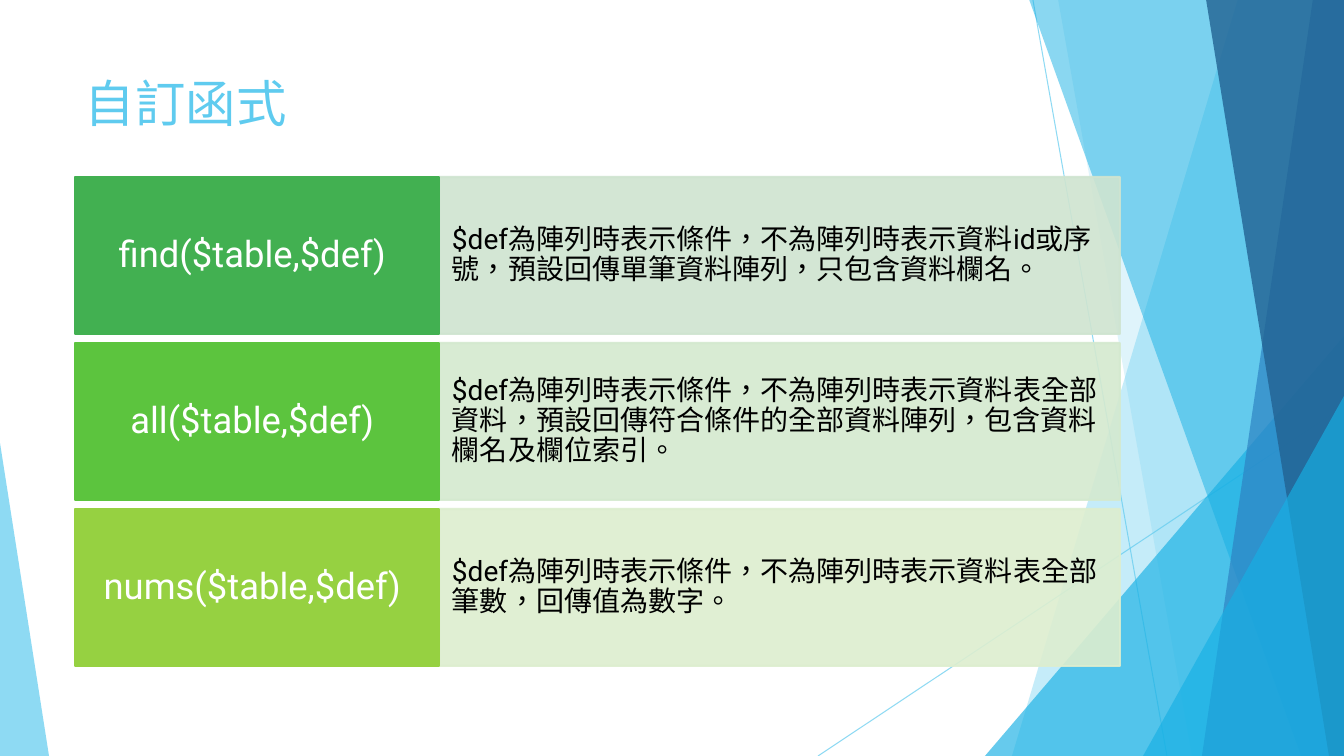
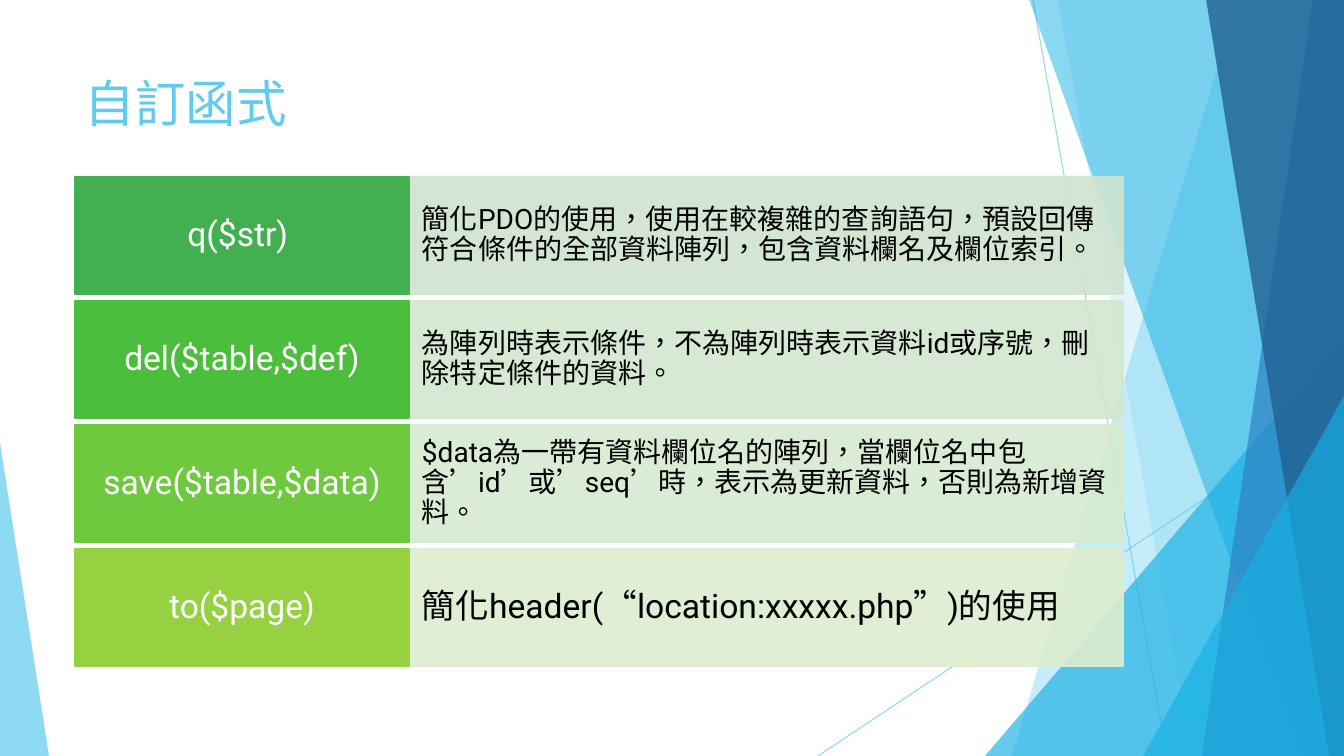
from lxml import etree
from pptx import Presentation
from pptx.dml.color import RGBColor
from pptx.enum.lang import MSO_LANGUAGE_ID
from pptx.enum.shapes import MSO_CONNECTOR, MSO_SHAPE
from pptx.enum.text import MSO_ANCHOR, PP_ALIGN
from pptx.oxml.ns import qn
from pptx.util import Pt

SCALE = 914400 / 100.8
WIDE, HIGH = 1344, 756
LEFT, TOP = 75, 177
FONT = "Roboto"
RECT, TRI = MSO_SHAPE.RECTANGLE, MSO_SHAPE.ISOSCELES_TRIANGLE
LINE = MSO_CONNECTOR.STRAIGHT
UPPER, MIDDLE = MSO_ANCHOR.TOP, MSO_ANCHOR.MIDDLE
START, CENTER = PP_ALIGN.LEFT, PP_ALIGN.CENTER
CHINESE = MSO_LANGUAGE_ID.TRADITIONAL_CHINESE

HUES = {
    "sky": "5FCBEF", "cyan": "17B0E4", "blue": "2E83C3", "navy": "226292",
    "black": "000000", "white": "FFFFFF",
    "green": "42B051", "leaf": "4CBE3E", "grass": "5CC43E",
    "moss": "6FC93F", "lime": "96D141",
    "green_pale": "CFE4D0", "leaf_pale": "D1E7CF", "grass_pale": "D4E9CF",
    "moss_pale": "D6EBCF", "lime_pale": "DDEECF",
}

# Rays: start, end. Facets: kind, place, hue, opacity, back to front.
# A pane gives its left edge at top and bottom; a wedge its box and peak.
RAYS = [((1033, 0), (1167, HIGH)), ((WIDE, 406), (818, HIGH))]
FACETS = [
    ("pane", (1238, 1012), "sky", 36),
    ("pane", (1058, 1192), "sky", 20),
    ("wedge", (985, 336, 359, 420, 1), "cyan", 66),
    ("pane", (1029, 1301), "cyan", 50),
    ("pane", (1313, 1202), "blue", 70),
    ("pane", (1206, 1329), "navy", 80),
    ("wedge", (1143, 396, 201, 360, 1), "cyan", 66),
    ("wedge", (0, 443, 49, 313, 0), "sky", 70),
]

TITLE = "自訂函式"
SLIDES = [
    {
        "widths": (364, 681), "height": 157, "pitch": 166, "size": 26,
        "pads": ((9, 15), (13, 40)),
        "rows": [
            ("green", "find($table,$def) ", 20,
             "$def為陣列時表示條件，不為陣列時表示資料id或序號，"
             "預設回傳單筆資料陣列，只包含資料欄名。"),
            ("grass", "all($table,$def) ", 20,
             "$def為陣列時表示條件，不為陣列時表示資料表全部資料，"
             "預設回傳符合條件的全部資料陣列，包含資料欄名及欄位索引。"),
            ("lime", "nums($table,$def) ", 20,
             "$def為陣列時表示條件，不為陣列時表示資料表全部筆數，"
             "回傳值為數字。"),
        ],
    },
    {
        "widths": (334, 714), "height": 117, "pitch": 124, "size": 24,
        "pads": ((9, 11), (13, 29)),
        "rows": [
            ("green", "q($str) ", 20,
             "簡化PDO的使用，使用在較複雜的查詢語句，"
             "預設回傳符合條件的全部資料陣列，包含資料欄名及欄位索引。"),
            ("leaf", "del($table,$def)", 20,
             "為陣列時表示條件，不為陣列時表示資料id或序號，"
             "刪除特定條件的資料。"),
            ("moss", "save($table,$data)", 20,
             "$data為一帶有資料欄位名的陣列，當欄位名中包含’id’或’seq’時，"
             "表示為更新資料，否則為新增資料。"),
            ("lime", "to($page)", 24,
             "簡化header(“location:xxxxx.php”)的使用"),
        ],
    },
]


def px(*sizes):
    """Turn pixels into a list of EMU lengths."""
    return [round(size * SCALE) for size in sizes]


def apply(target, values):
    """Set each attribute named in a dict."""
    for name, value in values.items():
        setattr(target, name, value)


def paint(fill, hue, alpha=100):
    """Give a fill one colour and an opacity in percent."""
    fill.solid()
    fill.fore_color.rgb = RGBColor.from_string(HUES[hue])
    if alpha < 100:
        tint = fill._xPr.find(qn("a:solidFill"))[0]
        etree.SubElement(tint, qn("a:alpha")).set("val", str(alpha * 1000))


def write(shape, text, size, hue, pads, align=START, anchor=MIDDLE, pace=0.9):
    """Put one formatted paragraph into a shape."""
    frame = shape.text_frame
    side, edge = px(*pads)
    apply(frame, {
        "word_wrap": True, "vertical_anchor": anchor,
        "margin_left": side, "margin_right": side,
        "margin_top": edge, "margin_bottom": edge,
    })
    para = frame.paragraphs[0]
    apply(para, {"alignment": align, "line_spacing": pace})
    run = para.add_run()
    run.text = text
    apply(run.font, {"size": Pt(size), "name": FONT, "language_id": CHINESE})
    run.font.color.rgb = RGBColor.from_string(HUES[hue])


def add_ray(slide, start, end):
    """Draw a thin, see-through line."""
    ray = slide.shapes.add_connector(LINE, *px(*start, *end))
    ray.line.width = Pt(0.75)
    paint(ray.line.fill, "sky", 70)
    etree.SubElement(ray._element.spPr, qn("a:effectLst"))


def add_pane(slide, top, base):
    """Outline a pane that runs to the right edge of the slide."""
    pen = slide.shapes.build_freeform(top, -1, scale=SCALE)
    pen.add_line_segments([(WIDE, -1), (WIDE, HIGH), (base, HIGH)])
    return pen.convert_to_shape()


def add_wedge(slide, x, y, width, height, peak):
    """Draw a triangle with its peak at a share of its width."""
    wedge = slide.shapes.add_shape(TRI, *px(x, y, width, height))
    wedge.adjustments[0] = peak
    return wedge


def add_decor(slide):
    """Draw the rays and facets that all slides share."""
    for start, end in RAYS:
        add_ray(slide, start, end)
    makers = {"pane": add_pane, "wedge": add_wedge}
    for kind, place, hue, alpha in FACETS:
        facet = makers[kind](slide, *place)
        facet.shadow.inherit = False
        facet.line.fill.background()
        paint(facet.fill, hue, alpha)


def add_title(slide, text):
    """Write the slide title."""
    box = slide.shapes.add_textbox(*px(LEFT, 67, 948, 145))
    write(box, text, 36, "sky", (10, 5), anchor=UPPER, pace=1.0)


def add_cell(slide, place, hue, alpha):
    """Draw a box with fill and line in one colour."""
    cell = slide.shapes.add_shape(RECT, *px(*place))
    cell.shadow.inherit = False
    cell.line.width = Pt(1.5)
    for fill in (cell.fill, cell.line.fill):
        paint(fill, hue, alpha)
    return cell


def add_rows(slide, plan):
    """Stack rows of a function name and what it does."""
    name_w, note_w = plan["widths"]
    name_pad, note_pad = plan["pads"]
    tall = plan["height"]
    for index, (hue, name, size, note) in enumerate(plan["rows"]):
        y = TOP + index * plan["pitch"]
        pale = add_cell(slide, (LEFT + name_w, y, note_w, tall),
                        hue + "_pale", 90)
        write(pale, note, size, "black", note_pad)
        head = add_cell(slide, (LEFT, y, name_w, tall), hue, 100)
        write(head, name, plan["size"], "white", name_pad, CENTER)


def main():
    """Build and save the deck."""
    deck = Presentation()
    deck.slide_width, deck.slide_height = px(WIDE, HIGH)
    for plan in SLIDES:
        slide = deck.slides.add_slide(deck.slide_layouts[6])
        add_decor(slide)
        add_title(slide, TITLE)
        add_rows(slide, plan)
    deck.save("out.pptx")


main()
